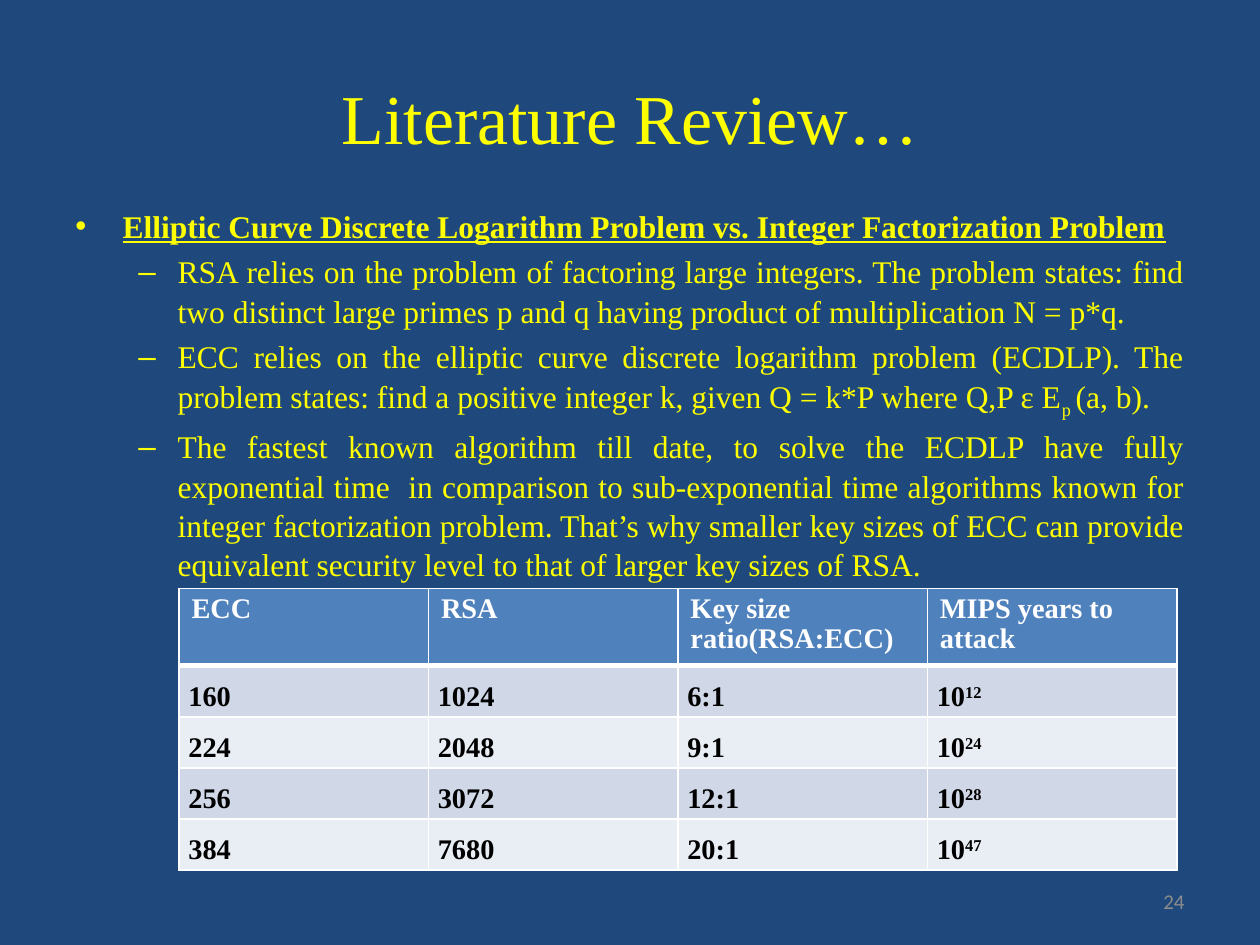
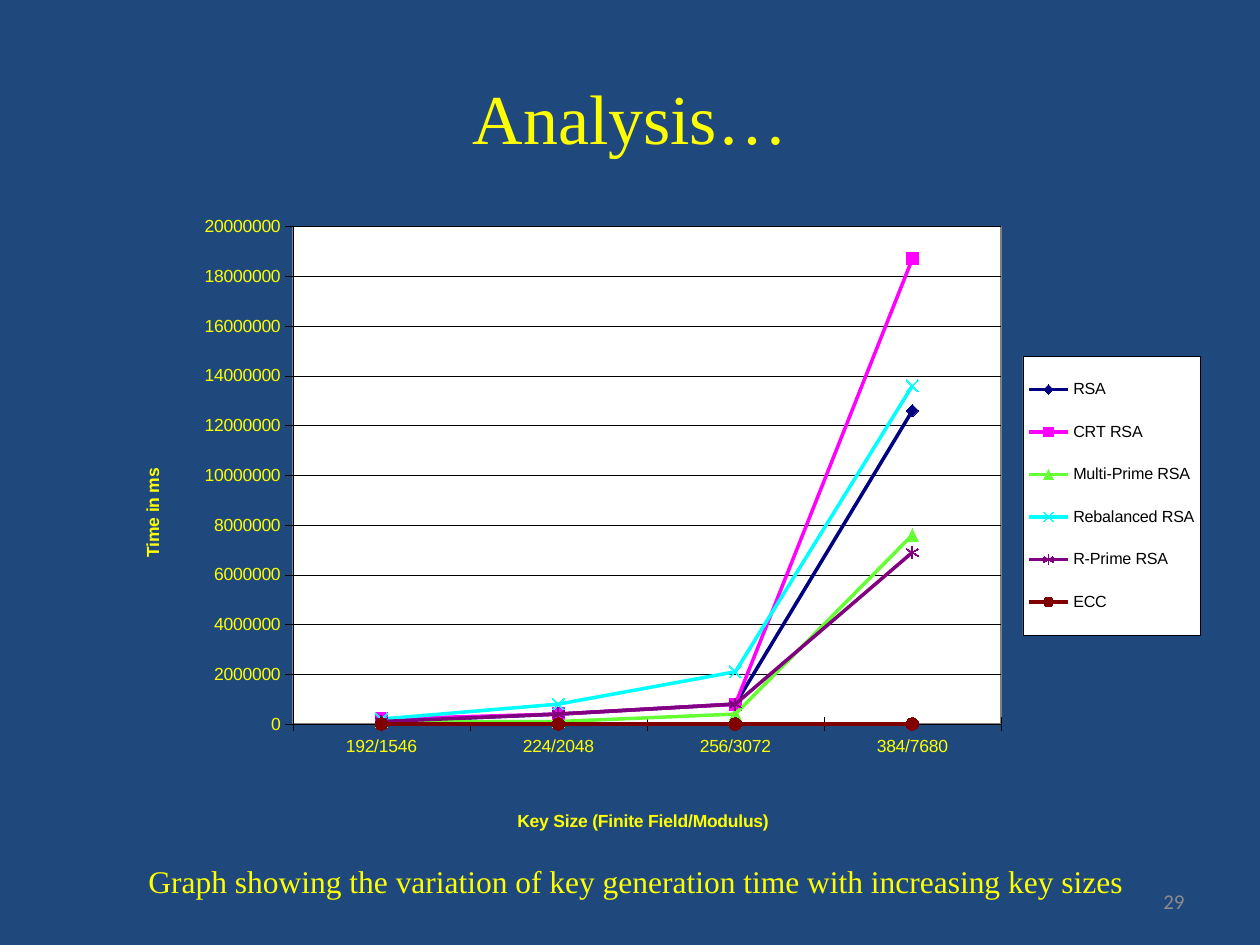
from dataclasses import dataclass

from lxml.etree import SubElement
from pptx import Presentation
from pptx.chart.data import CategoryChartData
from pptx.dml.color import RGBColor
from pptx.enum.chart import XL_CHART_TYPE, XL_LEGEND_POSITION, XL_MARKER_STYLE, XL_TICK_MARK
from pptx.enum.text import MSO_ANCHOR, PP_ALIGN
from pptx.oxml import parse_xml
from pptx.oxml.ns import nsdecls, qn
from pptx.util import Pt

NAVY, YELLOW, WHITE, BLACK, GRAY = "1F497D", "FFFF00", "FFFFFF", "000000", "8C8C8C"
HEADER_FILL, BAND_FILLS = "4F81BD", ("D0D8E8", "E9EDF4")
SERIF, SANS = "Times New Roman", "Arial"


@dataclass(frozen=True)
class Box:
    left: float
    top: float
    width: float
    height: float

    def lengths(self) -> tuple:
        return Pt(self.left), Pt(self.top), Pt(self.width), Pt(self.height)


@dataclass(frozen=True)
class Phrase:
    text: str
    baseline: int = 0


@dataclass(frozen=True)
class Point:
    phrases: tuple[Phrase, ...]
    level: int = 1


@dataclass(frozen=True)
class Scheme:
    name: str
    times: tuple[int, ...]
    color: str
    marker: XL_MARKER_STYLE
    filled: bool = True


TITLE_BOX = Box(36, 21.6, 648, 90)
NUMBER_BOX = Box(516.24, 500.4, 167.76, 28.8)
POINTS_BOX = Box(36, 113.76, 648, 221.76)
TABLE_BOX = Box(102.24, 336.24, 570.24, 162)
CHART_BOX = Box(66.24, 102.24, 632.16, 389.52)
CAPTION_BOX = Box(77.76, 488.88, 576, 51.12)

INDENTS = {0: (27, -27, "•"), 1: (58.5, -22.5, "–")}

POINTS = (
    Point((Phrase("Elliptic Curve Discrete Logarithm Problem vs. Integer Factorization Problem"),), 0),
    Point((Phrase("RSA relies on the problem of factoring large integers. The problem states: find two "
                  "distinct large primes p and q having product of multiplication N = p*q."),)),
    Point((Phrase("ECC relies on the elliptic curve discrete logarithm problem (ECDLP). The problem "
                  "states: find a positive integer k, given Q = k*P where Q,P ε E"),
           Phrase("p ", -25000), Phrase("(a, b)."))),
    Point((Phrase("The fastest known algorithm till date, to solve the ECDLP have fully exponential "
                  "time  in comparison to sub-exponential time algorithms known for integer "
                  "factorization problem. That’s why smaller key sizes of ECC can provide equivalent "
                  "security level to that of larger key sizes of RSA."),)),
)

HEADINGS = ("ECC", "RSA", "Key size ratio(RSA:ECC)", "MIPS years to attack")
KEY_SIZES = (("160", "1024", "6:1", "12"), ("224", "2048", "9:1", "24"),
             ("256", "3072", "12:1", "28"), ("384", "7680", "20:1", "47"))

KEY_PAIRS = ("192/1546", "224/2048", "256/3072", "384/7680")
SCHEMES = (
    Scheme("RSA", (100000, 400000, 800000, 12600000), "000080", XL_MARKER_STYLE.DIAMOND),
    Scheme("CRT RSA", (200000, 400000, 800000, 18700000), "FF00FF", XL_MARKER_STYLE.SQUARE),
    Scheme("Multi-Prime RSA", (100000, 100000, 400000, 7600000), "66FF33", XL_MARKER_STYLE.TRIANGLE),
    Scheme("Rebalanced RSA", (200000, 800000, 2100000, 13600000), "00FFFF", XL_MARKER_STYLE.X, False),
    Scheme("R-Prime RSA", (100000, 400000, 800000, 6900000), "800080", XL_MARKER_STYLE.STAR, False),
    Scheme("ECC", (0, 0, 0, 0), "800000", XL_MARKER_STYLE.CIRCLE),
)


def rgb(color: str) -> RGBColor:
    return RGBColor.from_string(color)


def style_font(font, size: float, color: str, name: str = SERIF, bold: bool = False) -> None:
    font.name, font.size, font.bold = name, Pt(size), bold
    font.color.rgb = rgb(color)


def write_phrases(paragraph, phrases: tuple[Phrase, ...], size: float, color: str, bold: bool) -> None:
    for phrase in phrases:
        run = paragraph.add_run()
        run.text = phrase.text
        style_font(run.font, size, color, bold=bold)
        if phrase.baseline:
            run._r.get_or_add_rPr().set("baseline", str(phrase.baseline))


def add_line(slide, box: Box, text: str, size: float, color: str, name: str = SERIF,
             align=PP_ALIGN.LEFT, anchor=MSO_ANCHOR.TOP) -> None:
    frame = slide.shapes.add_textbox(*box.lengths()).text_frame
    frame.word_wrap, frame.vertical_anchor = True, anchor
    frame.text = text
    frame.paragraphs[0].alignment = align
    style_font(frame.paragraphs[0].runs[0].font, size, color, name)


def add_titled_slide(deck, title: str, number: int):
    slide = deck.slides.add_slide(deck.slide_layouts[5])
    slide.background.fill.solid()
    slide.background.fill.fore_color.rgb = rgb(NAVY)
    heading = slide.shapes.title
    heading.left, heading.top, heading.width, heading.height = TITLE_BOX.lengths()
    frame = heading.text_frame
    frame.text = title
    frame.vertical_anchor = MSO_ANCHOR.MIDDLE
    frame.paragraphs[0].alignment = PP_ALIGN.CENTER
    style_font(frame.paragraphs[0].runs[0].font, 40, YELLOW)
    add_line(slide, NUMBER_BOX, str(number), 12, GRAY, "Calibri", PP_ALIGN.RIGHT, MSO_ANCHOR.MIDDLE)
    return slide


def add_points(slide) -> None:
    frame = slide.shapes.add_textbox(*POINTS_BOX.lengths()).text_frame
    frame.word_wrap = True
    for index, point in enumerate(POINTS):
        paragraph = frame.add_paragraph() if index else frame.paragraphs[0]
        paragraph.alignment, paragraph.level = PP_ALIGN.JUSTIFY, point.level
        paragraph.space_before, paragraph.line_spacing = Pt(3.6), 1.04
        is_heading = point.level == 0
        write_phrases(paragraph, point.phrases, 18, YELLOW, is_heading)
        for run in paragraph.runs:
            run.font.underline = is_heading
        margin, indent, bullet = INDENTS[point.level]
        properties = paragraph._p.get_or_add_pPr()
        properties.set("marL", str(Pt(margin)))
        properties.set("indent", str(Pt(indent)))
        SubElement(properties, qn("a:buFont")).set("typeface", SANS)
        SubElement(properties, qn("a:buChar")).set("char", bullet)


def format_cell(cell, fill: str, bottom: float) -> None:
    properties = cell._tc.get_or_add_tcPr()
    for side, width in (("L", 1), ("R", 1), ("T", 1), ("B", bottom)):
        properties.append(parse_xml(
            f'<a:ln{side} {nsdecls("a")} w="{Pt(width)}"><a:solidFill>'
            f'<a:srgbClr val="{WHITE}"/></a:solidFill></a:ln{side}>'))
    cell.fill.solid()
    cell.fill.fore_color.rgb = rgb(fill)


def add_key_table(slide) -> None:
    table = slide.shapes.add_table(len(KEY_SIZES) + 1, len(HEADINGS), *TABLE_BOX.lengths()).table
    table.horz_banding = False
    for row, height in zip(table.rows, (43.2,) + (29.2,) * len(KEY_SIZES)):
        row.height = Pt(height)
    for cell, heading in zip(table.rows[0].cells, HEADINGS):
        format_cell(cell, HEADER_FILL, 3)
        paragraph = cell.text_frame.paragraphs[0]
        paragraph.line_spacing = 0.95
        write_phrases(paragraph, (Phrase(heading),), 16.2, WHITE, True)
    for index, (ecc, rsa, ratio, exponent) in enumerate(KEY_SIZES):
        contents = ((Phrase(ecc),), (Phrase(rsa),), (Phrase(ratio),),
                    (Phrase("10"), Phrase(exponent, 30000)))
        for cell, phrases in zip(table.rows[index + 1].cells, contents):
            format_cell(cell, BAND_FILLS[index % 2], 1)
            cell.margin_left = cell.margin_right = Pt(5.4)
            cell.margin_top = cell.margin_bottom = Pt(0)
            paragraph = cell.text_frame.paragraphs[0]
            paragraph.alignment, paragraph.line_spacing = PP_ALIGN.JUSTIFY, 1.5
            write_phrases(paragraph, phrases, 16.2, BLACK, True)


def place(element, index: int, inner: bool = False, **fractions: float) -> None:
    for old in element.findall(qn("c:layout")):
        element.remove(old)
    target = '<c:layoutTarget val="inner"/>' if inner else ""
    modes = "".join(f'<c:{axis}Mode val="edge"/>' for axis in "xy")
    sizes = "".join(f'<c:{key} val="{value}"/>' for key, value in fractions.items())
    element.insert(index, parse_xml(
        f'<c:layout {nsdecls("c")}><c:manualLayout>{target}{modes}{sizes}</c:manualLayout></c:layout>'))


def panel(line: str, width: float):
    return parse_xml(
        f'<c:spPr {nsdecls("c", "a")}><a:solidFill><a:srgbClr val="{WHITE}"/></a:solidFill>'
        f'<a:ln w="{Pt(width)}"><a:solidFill><a:srgbClr val="{line}"/></a:solidFill></a:ln></c:spPr>')


def format_axis(axis, title: str, x: float, y: float) -> None:
    axis.major_tick_mark = XL_TICK_MARK.CROSS
    axis.format.line.color.rgb = rgb(BLACK)
    axis.format.line.width = Pt(0.25)
    style_font(axis.tick_labels.font, 10, YELLOW, SANS)
    frame = axis.axis_title.text_frame
    frame.text = title
    style_font(frame.paragraphs[0].runs[0].font, 10, YELLOW, SANS, True)
    place(axis.axis_title._element, 1, x=x, y=y)


def add_time_chart(slide) -> None:
    data = CategoryChartData()
    data.categories = KEY_PAIRS
    for scheme in SCHEMES:
        data.add_series(scheme.name, scheme.times)
    chart = slide.shapes.add_chart(XL_CHART_TYPE.LINE_MARKERS, *CHART_BOX.lengths(), data).chart
    chart.has_title = False
    style_font(chart.font, 10, BLACK, SANS)
    plot = chart.plots[0]
    plot.vary_by_categories = False
    for series, scheme in zip(plot.series, SCHEMES):
        series.smooth = False
        series.format.line.color.rgb = rgb(scheme.color)
        series.format.line.width = Pt(2)
        marker = series.marker
        marker.style, marker.size = scheme.marker, 7
        marker.format.line.color.rgb = rgb(scheme.color)
        if scheme.filled:
            marker.format.fill.solid()
            marker.format.fill.fore_color.rgb = rgb(scheme.color)
        else:
            marker.format.fill.background()

    format_axis(chart.category_axis, "Key Size (Finite Field/Modulus)", 0.36, 0.92)
    times = chart.value_axis
    format_axis(times, "Time in ms", 0.02, 0.42)
    times.axis_title.text_frame._txBody.bodyPr.set("rot", "-5400000")
    times.minimum_scale, times.maximum_scale, times.major_unit = 0, 20000000, 2000000
    times.major_gridlines.format.line.color.rgb = rgb(BLACK)
    times.major_gridlines.format.line.width = Pt(0.25)

    chart.has_legend = True
    legend = chart.legend
    legend.position, legend.include_in_layout = XL_LEGEND_POSITION.RIGHT, False
    style_font(legend.font, 9.2, BLACK, SANS)
    place(legend._element, 1, x=0.82, y=0.26, w=0.16, h=0.41)
    legend._element.find(qn("c:txPr")).addprevious(panel(BLACK, 0.25))

    plot_area = chart._chartSpace.chart.plotArea
    place(plot_area, 0, inner=True, x=0.16, y=0.07, w=0.64, h=0.73)
    plot_area.append(panel("808080", 1))


def main() -> None:
    deck = Presentation()
    deck.slide_width, deck.slide_height = Pt(720), Pt(540)
    review = add_titled_slide(deck, "Literature Review…", 24)
    add_points(review)
    add_key_table(review)
    analysis = add_titled_slide(deck, "Analysis…", 29)
    add_line(analysis, CAPTION_BOX,
             "Graph showing the variation of key generation time with increasing key sizes", 18, YELLOW)
    add_time_chart(analysis)
    deck.save("out.pptx")


if __name__ == "__main__":
    main()
